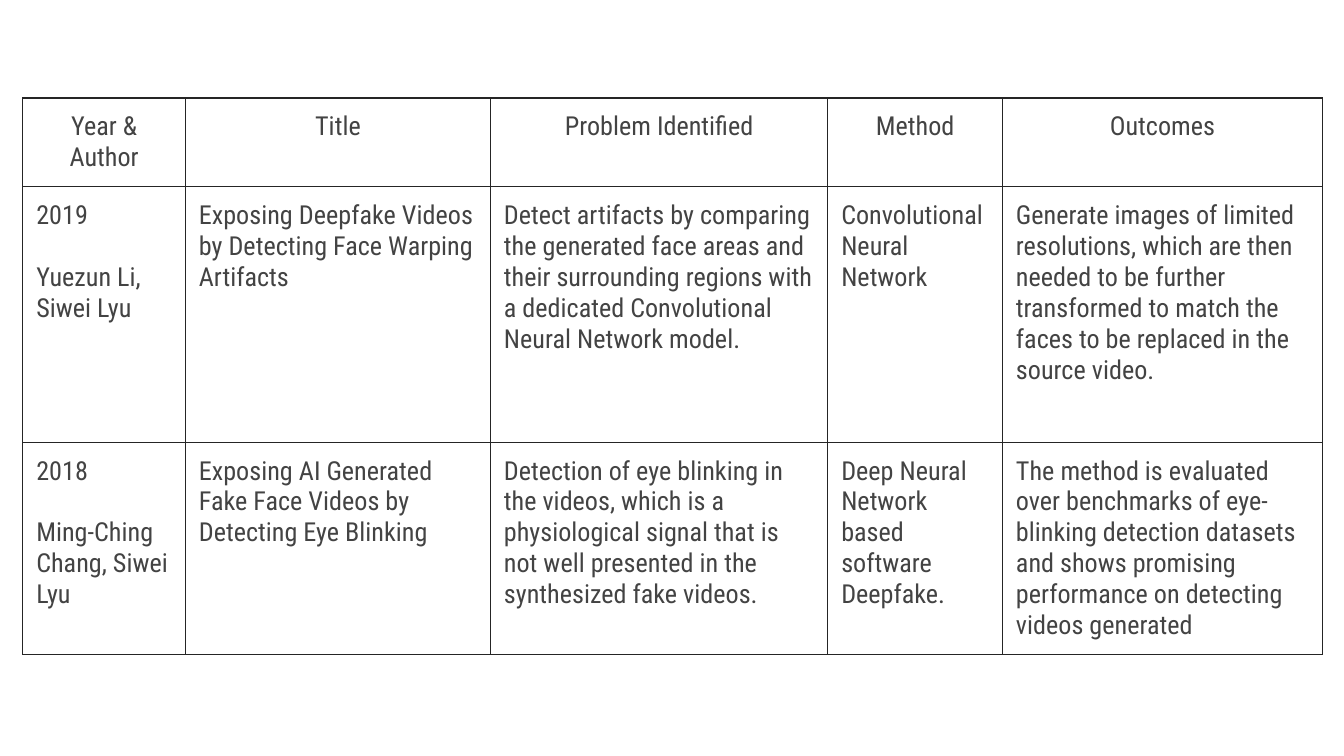
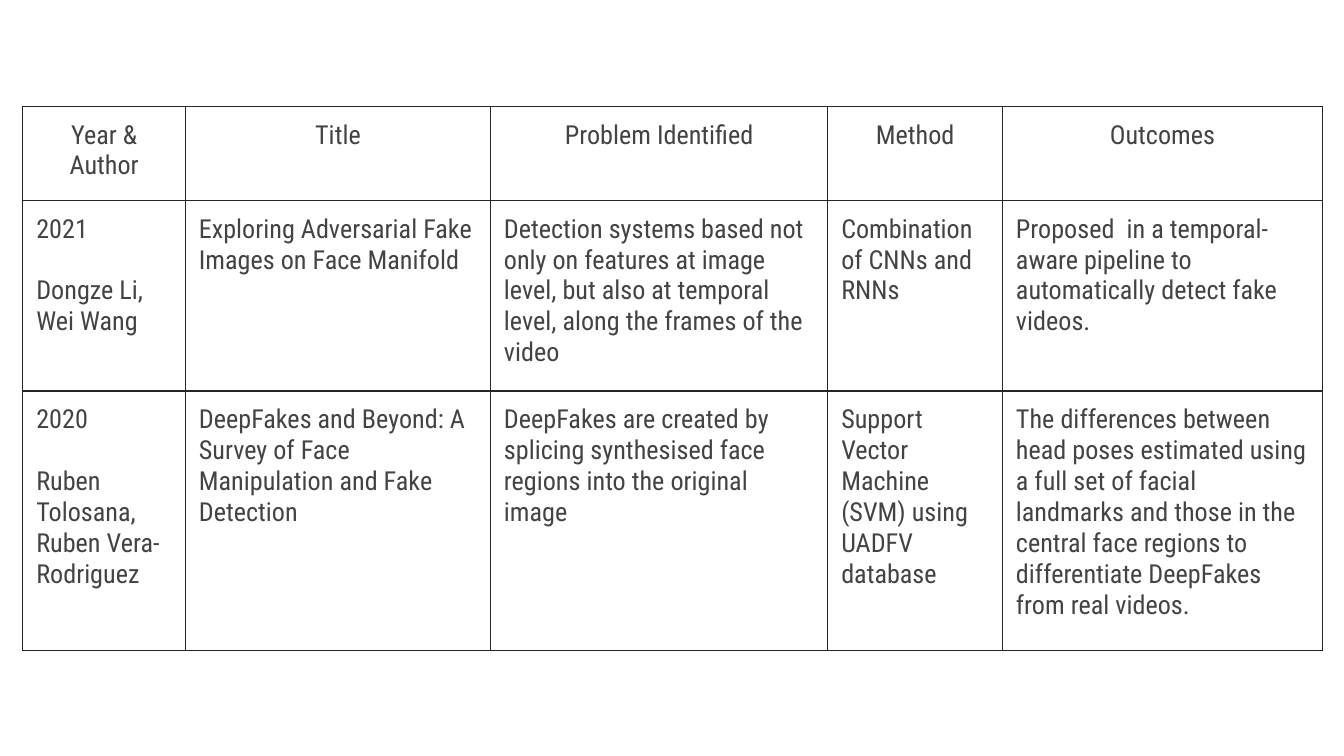
from dataclasses import dataclass

from lxml import etree
from pptx import Presentation
from pptx.dml.color import RGBColor
from pptx.enum.text import PP_ALIGN
from pptx.oxml.ns import qn
from pptx.slide import Slide
from pptx.table import _Cell
from pptx.util import Inches, Pt

CENTER, LEFT = PP_ALIGN.CENTER, PP_ALIGN.LEFT

# Shared style
SLIDE_WIDTH = Inches(10)
SLIDE_HEIGHT = SLIDE_WIDTH * 9 // 16
FONT = "Roboto Condensed"
TEXT, BORDER = "434343", "252525"
FONT_SIZE = Pt(14)
AUTHOR_GAP = Pt(16.5)  # one line between year and authors
BORDER_WIDTH = Pt(0.75)
MARGIN = Inches(0.1)
TABLE_LEFT = 0.17
COLUMN_WIDTHS = (1.21, 2.27, 2.51, 1.3, 2.38)
HEADINGS = ("Year & Author", "Title", "Problem Identified", "Method", "Outcomes")


@dataclass(frozen=True)
class Paper:
    year: str
    authors: str
    title: str
    problem: str
    method: str
    outcomes: str

    def cells(self) -> tuple[tuple[str, ...], ...]:
        """Paragraphs of each cell, in column order."""
        return ((self.year, self.authors), (self.title,), (self.problem,),
                (self.method,), (self.outcomes,))


@dataclass(frozen=True)
class SurveySlide:
    top: float
    row_heights: tuple[float, ...]
    papers: tuple[Paper, ...]


SURVEY = (
    SurveySlide(0.73, (0.56, 1.9, 1.45), (
        Paper("2019", "Yuezun Li, Siwei Lyu",
              "Exposing Deepfake Videos by Detecting Face Warping Artifacts",
              "Detect artifacts by comparing the generated face areas and their "
              "surrounding regions with a dedicated Convolutional Neural Network model.",
              "Convolutional Neural Network",
              "Generate images of limited resolutions, which are then needed to be further "
              "transformed to match the faces to be replaced in the source video."),
        Paper("2018", "Ming-Ching Chang, Siwei Lyu",
              "Exposing AI Generated Fake Face Videos by Detecting Eye Blinking",
              "Detection of eye blinking in the videos, which is a physiological signal "
              "that is not well presented in the synthesized fake videos.",
              "Deep Neural Network based software Deepfake.",
              "The method is evaluated over benchmarks of eye-blinking detection datasets "
              "and shows promising performance on detecting videos generated"),
    )),
    SurveySlide(0.79, (0.7, 1.42, 1.93), (
        Paper("2021", "Dongze Li, Wei Wang",
              "Exploring Adversarial Fake Images on Face Manifold",
              "Detection systems based not only on features at image level, but also at "
              "temporal level, along the frames of the video",
              "Combination of CNNs and RNNs",
              "Proposed  in a temporal-aware pipeline to automatically detect fake videos."),
        Paper("2020", "Ruben Tolosana, Ruben Vera-Rodriguez",
              "DeepFakes and Beyond: A Survey of Face Manipulation and Fake Detection",
              "DeepFakes are created by splicing synthesised face regions into the "
              "original image",
              "Support Vector Machine (SVM) using UADFV database",
              "The differences between head poses estimated using a full set of facial "
              "landmarks and those in the central face regions to differentiate DeepFakes "
              "from real videos."),
    )),
)


def rgb(value: str) -> RGBColor:
    return RGBColor.from_string(value)


def add_borders(cell: _Cell) -> None:
    """Draw all four sides; border elements precede the fill."""
    tc_pr = cell._tc.get_or_add_tcPr()
    for i, side in enumerate(("a:lnL", "a:lnR", "a:lnT", "a:lnB")):
        line = etree.Element(qn(side), w=str(int(BORDER_WIDTH)))
        fill = etree.SubElement(line, qn("a:solidFill"))
        etree.SubElement(fill, qn("a:srgbClr"), val=BORDER)
        tc_pr.insert(i, line)


def fill_cell(cell: _Cell, texts: tuple[str, ...], align: PP_ALIGN) -> None:
    cell.fill.background()
    add_borders(cell)
    cell.margin_left = cell.margin_right = MARGIN
    cell.margin_top = cell.margin_bottom = MARGIN
    tf = cell.text_frame
    for i, text in enumerate(texts):
        p = tf.add_paragraph() if i else tf.paragraphs[0]
        p.text = text
        p.alignment = align
        if i:
            p.space_before = AUTHOR_GAP
        p.font.name = FONT
        p.font.size = FONT_SIZE
        p.font.color.rgb = rgb(TEXT)


def add_survey_table(s: Slide, survey: SurveySlide) -> None:
    rows = [tuple((heading,) for heading in HEADINGS)]
    rows += [paper.cells() for paper in survey.papers]
    table = s.shapes.add_table(
        len(rows), len(HEADINGS), Inches(TABLE_LEFT), Inches(survey.top),
        Inches(sum(COLUMN_WIDTHS)), Inches(sum(survey.row_heights))).table
    table.first_row = table.horz_banding = False
    for column, width in zip(table.columns, COLUMN_WIDTHS):
        column.width = Inches(width)
    for r, (row, height) in enumerate(zip(rows, survey.row_heights)):
        table.rows[r].height = Inches(height)
        for c, texts in enumerate(row):
            fill_cell(table.cell(r, c), texts, LEFT if r else CENTER)


def main() -> None:
    prs = Presentation()
    prs.slide_width, prs.slide_height = SLIDE_WIDTH, SLIDE_HEIGHT
    blank = prs.slide_layouts[6]
    for survey in SURVEY:
        add_survey_table(prs.slides.add_slide(blank), survey)
    prs.save("out.pptx")


if __name__ == "__main__":
    main()
